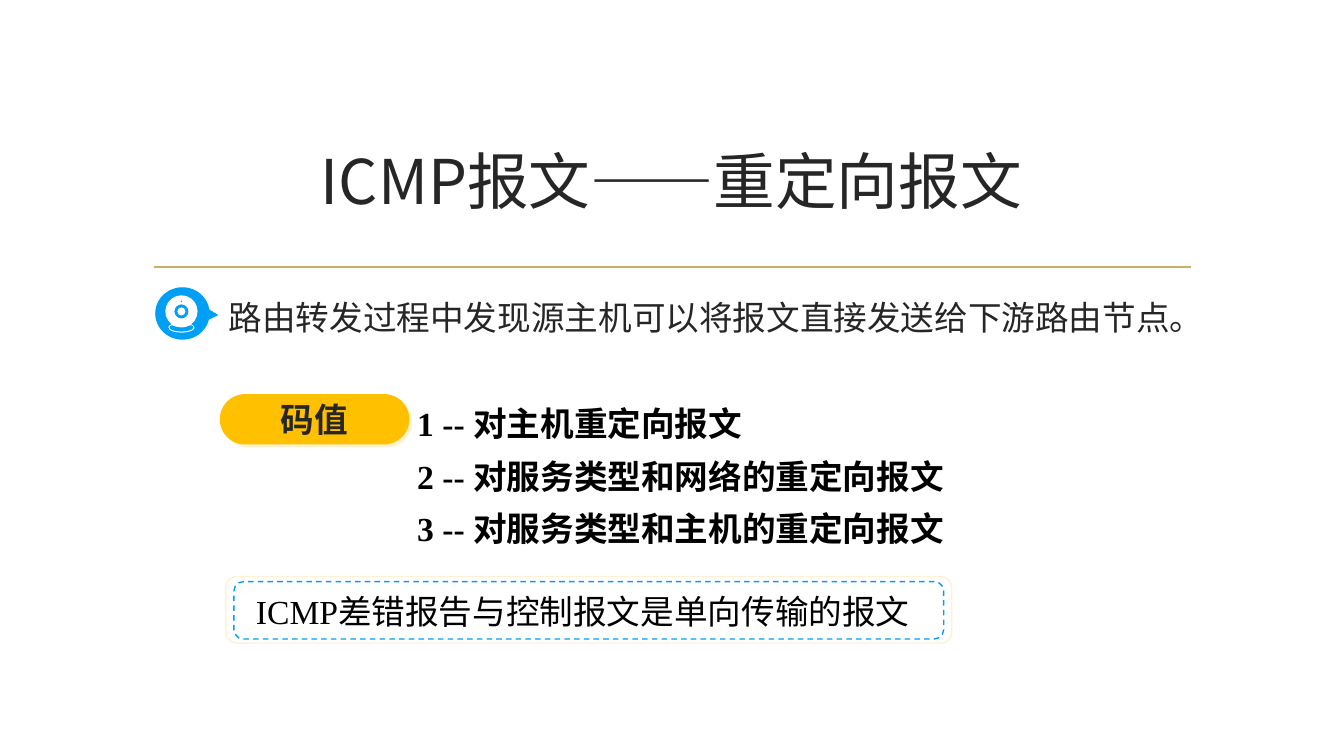
import dataclasses
import math

import lxml.etree
import pptx
import pptx.dml.color
import pptx.enum.dml
import pptx.enum.shapes
import pptx.enum.text
import pptx.oxml
import pptx.oxml.ns
import pptx.util

Inches = pptx.util.Inches
SHAPES = pptx.enum.shapes.MSO_SHAPE
ALIGN = pptx.enum.text.PP_ALIGN
MIDDLE = pptx.enum.text.MSO_ANCHOR.MIDDLE
GROW = pptx.enum.text.MSO_AUTO_SIZE.SHAPE_TO_FIT_TEXT
QN = pptx.oxml.ns.qn


@dataclasses.dataclass(frozen=True)
class Theme:
    """Colours, fonts and type sizes of the slide."""
    ink: str = "262626"
    black: str = "000000"
    white: str = "FFFFFF"
    gold: str = "CBAF62"
    amber: str = "FFC000"
    glow: str = "FFF2CC"
    cream: str = "FEF1D6"
    blue: str = "009FF6"
    sans: str = "Noto Sans CJK SC"
    serif: str = "Times New Roman"
    title: int = 44
    body: int = 24


THEME = Theme()


def rgb(value):
    """Turn a hex string into a colour."""
    return pptx.dml.color.RGBColor.from_string(value)


def write(shape, lines, color, size=THEME.body, font=THEME.serif, bold=False,
          align=ALIGN.LEFT, spacing=1.0, anchor=None, wrap=True, fit=None):
    """Put formatted paragraphs into a shape."""
    frame = shape.text_frame
    frame.word_wrap = wrap
    if fit is not None:
        frame.auto_size = fit
    if anchor is not None:
        frame.vertical_anchor = anchor
    frame.text = "\n".join(lines)
    for para in frame.paragraphs:
        para.alignment = align
        para.line_spacing = spacing
        for span in para.runs:
            span.font.name = font
            span.font.size = pptx.util.Pt(size)
            span.font.bold = bold
            span.font.color.rgb = rgb(color)
            east = lxml.etree.SubElement(span.font._element, QN("a:ea"))
            east.set("typeface", THEME.sans)


def add_text(place, area, lines, color, **style):
    """Add a text box."""
    box = place.add_textbox(*map(Inches, area))
    write(box, lines, color, **style)
    return box


def paint(shape, fill=None, line=None, dashed=False):
    """Set fill and outline and remove the shadow."""
    shape.shadow.inherit = False
    if fill:
        shape.fill.solid()
        shape.fill.fore_color.rgb = rgb(fill)
    else:
        shape.fill.background()
    if line:
        shape.line.color.rgb = rgb(line)
        shape.line.width = pptx.util.Pt(1)
    else:
        shape.line.fill.background()
    if dashed:
        shape.line.dash_style = pptx.enum.dml.MSO_LINE.DASH


def add_shape(place, kind, area, adjustments=(), **look):
    """Add a painted preset shape."""
    shape = place.add_shape(kind, *map(Inches, area))
    for index, value in enumerate(adjustments):
        shape.adjustments[index] = value
    paint(shape, **look)
    return shape


def add_glow(shape, color):
    """Give a shape a hard offset shadow."""
    effects = shape._element.spPr.find(QN("a:effectLst"))
    shadow = lxml.etree.SubElement(effects, QN("a:outerShdw"), dist="35921",
                                   dir="2700000", algn="ctr", rotWithShape="0")
    lxml.etree.SubElement(shadow, QN("a:srgbClr"), val=color)


def add_rule(place, left, right, top):
    """Add the horizontal line below the title."""
    rule = place.add_connector(pptx.enum.shapes.MSO_CONNECTOR.STRAIGHT,
                               *map(Inches, (left, top, right, top)))
    rule.line.color.rgb = rgb(THEME.gold)
    rule.line.width = pptx.util.Pt(1.25)
    lxml.etree.SubElement(rule._element.spPr, QN("a:effectLst"))


def arc(x, y, across, down, start=0, end=360, pieces=4):
    """List start, control and end points of an elliptic arc in degrees."""
    turn = math.radians(end - start) / pieces
    pull = 4 / 3 * math.tan(turn / 4)

    def place_point(angle, reach):
        return (Inches(x + across * (math.cos(angle) - reach * math.sin(angle))),
                Inches(y + down * (math.sin(angle) + reach * math.cos(angle))))

    angle = math.radians(start)
    points = [place_point(angle, 0)]
    for _ in range(pieces):
        points += [place_point(angle, pull), place_point(angle + turn, -pull),
                   place_point(angle + turn, 0)]
        angle += turn
    return points


def bend(shape):
    """Join each three line segments of a freeform into one curve."""
    segments = list(shape._element.iter(QN("a:lnTo")))
    for first, second, third in zip(*[iter(segments)] * 3):
        curve = lxml.etree.Element(QN("a:cubicBezTo"))
        first.addprevious(curve)
        for segment in (first, second, third):
            curve.append(segment[0])
            segment.getparent().remove(segment)


def add_camera(place, x, y):
    """Add the webcam outline with its holes, centred on the lens."""
    base = y + 0.16
    contours = [
        arc(x, y, 0.16, 0.16, 127, 413) + arc(x, base, 0.13, 0.05, -37, 217)[1:],
        arc(x, base, 0.12, 0.04, -37, 217) + arc(x, y, 0.16, 0.16, 116, 64, 1)[1:],
        arc(x, y, 0.07, 0.07, 360, 0),
        arc(x, y, 0.04, 0.04),
        arc(x, y - 0.1, 0.01, 0.01, 360, 0),
    ]
    builder = place.build_freeform(*contours[0][0], scale=1.0)
    for index, points in enumerate(contours):
        if index:
            builder.move_to(*points[0])
        builder.add_line_segments(points[1:], close=True)
    camera = builder.convert_to_shape()
    bend(camera)
    paint(camera, fill=THEME.white)


def add_codes(place):
    """Add the code value label and its list."""
    label = add_shape(place, SHAPES.ROUNDED_RECTANGLE, (2.18, 3.91, 1.88, 0.5),
                      [0.5], fill=THEME.amber)
    add_glow(label, THEME.glow)
    write(label, ["码值"], THEME.ink, bold=True, align=ALIGN.CENTER,
          anchor=MIDDLE, wrap=False)
    codes = add_text(place, (3.69, 3.83, 5.96, 1.63),
                     ["1 -- 对主机重定向报文", "2 -- 对服务类型和网络的重定向报文",
                      "3 -- 对服务类型和主机的重定向报文"],
                     THEME.black, bold=True, spacing=1.3, wrap=False, fit=GROW)
    for para in codes.text_frame.paragraphs:
        para.level = 1
        properties = para._p.get_or_add_pPr()
        properties.set("marL", str(Inches(0.69)))
        properties.set("indent", str(Inches(-0.34)))


def add_note(place):
    """Add the framed remark at the bottom."""
    add_shape(place, SHAPES.ROUNDED_RECTANGLE, (2.24, 5.72, 7.2, 0.66),
              fill=THEME.white, line=THEME.cream)
    add_text(place, (2.44, 5.81, 6.92, 0.5),
             ["ICMP差错报告与控制报文是单向传输的报文"], THEME.black, fit=GROW)
    add_shape(place, SHAPES.ROUNDED_RECTANGLE, (2.32, 5.77, 7.04, 0.57),
              line=THEME.blue, dashed=True)


def add_lead(place):
    """Add the webcam bubble and the lead sentence."""
    add_shape(place, SHAPES.OVAL_CALLOUT, (1.54, 2.85, 0.54, 0.52),
              [0.66, 0.03], fill=THEME.blue)
    add_camera(place, 1.8, 3.09)
    add_text(place, (2.17, 2.86, 10.92, 0.51),
             ["路由转发过程中发现源主机可以将报文直接发送给下游路由节点。"],
             THEME.ink, spacing=1.1, fit=GROW)


def main():
    """Build and save the slide."""
    deck = pptx.Presentation()
    deck.slide_width, deck.slide_height = Inches(13.33), Inches(7.5)
    page = deck.slides.add_slide(deck.slide_layouts[6])
    add_rule(page.shapes, 1.53, 11.81, 2.65)
    add_text(page.shapes, (1.41, 1.07, 10.5, 1.43), ["ICMP报文——重定向报文"],
             THEME.ink, size=THEME.title, font=THEME.sans,
             align=ALIGN.CENTER, anchor=MIDDLE)
    add_codes(page.shapes)
    add_note(page.shapes.add_group_shape().shapes)
    add_lead(page.shapes.add_group_shape().shapes)
    deck.save("out.pptx")


if __name__ == "__main__":
    main()
